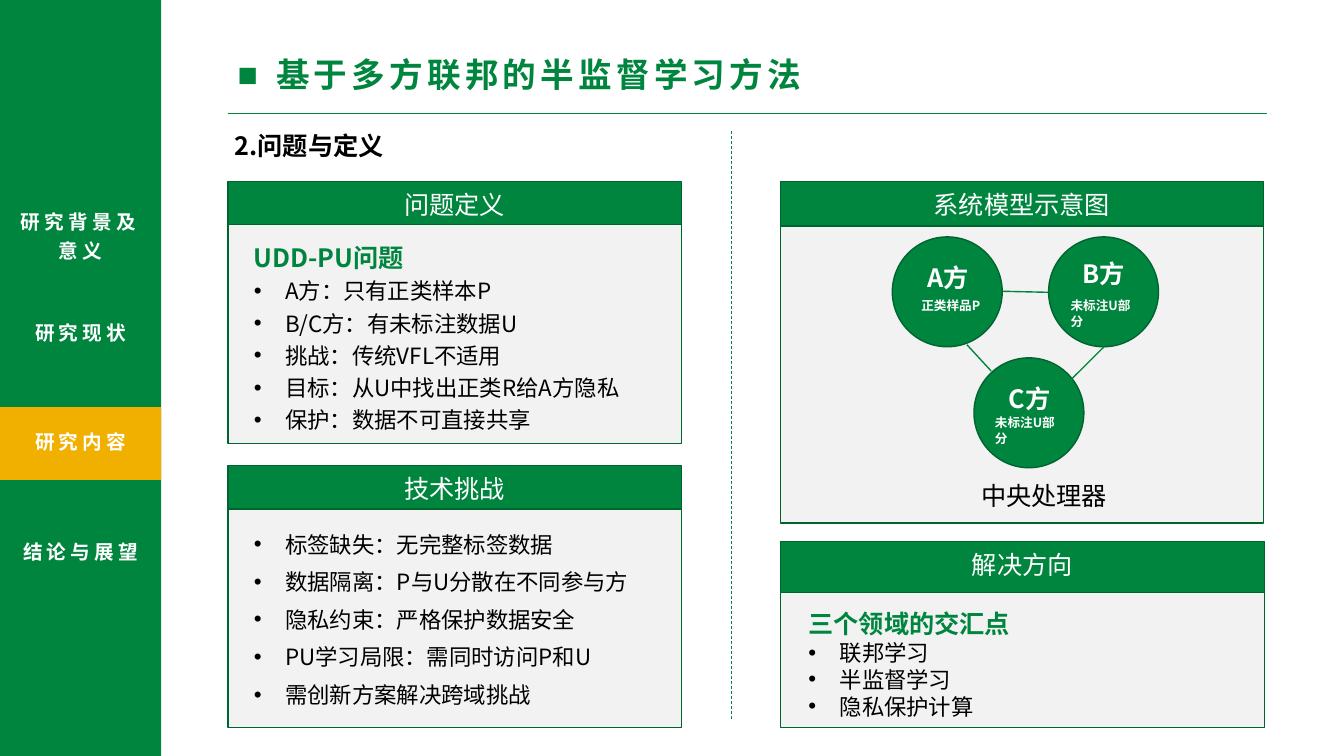
from dataclasses import dataclass

from lxml.etree import SubElement
from pptx import Presentation
from pptx.dml.color import RGBColor
from pptx.enum.dml import MSO_LINE
from pptx.enum.shapes import MSO_CONNECTOR, MSO_SHAPE
from pptx.enum.text import MSO_ANCHOR, MSO_AUTO_SIZE, PP_ALIGN
from pptx.oxml.ns import qn
from pptx.util import Inches, Pt


@dataclass(frozen=True)
class Theme:
    font: str = "Noto Sans CJK SC"
    green: str = "00853E"
    border: str = "00642F"
    gold: str = "F1B000"
    panel: str = "F2F2F2"
    white: str = "FFFFFF"
    black: str = "000000"
    title: int = 24
    heading: int = 18
    body: int = 16
    menu: int = 14
    note: int = 9
    spacing: int = 300


class SlideBuilder:
    cell = Inches(0.1)

    def __init__(self, slide, theme):
        self.slide = slide
        self.theme = theme

    def place(self, *cells):
        return [round(count * self.cell) for count in cells]

    def shape(self, kind, box, fill, border=None):
        shape = self.slide.shapes.add_shape(kind, *self.place(*box))
        shape.shadow.inherit = False
        shape.fill.solid()
        shape.fill.fore_color.rgb = RGBColor.from_string(fill)
        if border:
            shape.line.color.rgb = RGBColor.from_string(border)
            shape.line.width = Pt(1)
        else:
            shape.line.fill.background()
        return shape

    def line(self, start, end, width=0.5, dashed=False):
        connector = self.slide.shapes.add_connector(
            MSO_CONNECTOR.STRAIGHT, *self.place(*start, *end))
        connector.line.color.rgb = RGBColor.from_string(self.theme.green)
        connector.line.width = Pt(width)
        if dashed:
            connector.line.dash_style = MSO_LINE.DASH
        SubElement(connector._element.spPr, qn("a:effectLst"))

    def text_box(self, box):
        frame = self.slide.shapes.add_textbox(*self.place(*box)).text_frame
        frame.word_wrap = True
        frame.auto_size = MSO_AUTO_SIZE.SHAPE_TO_FIT_TEXT
        return frame

    def format(self, paragraph, size, color, bold=False, align=PP_ALIGN.LEFT,
               line_spacing=None, spacing=None):
        paragraph.alignment = align
        if line_spacing:
            paragraph.line_spacing = line_spacing
        for run in paragraph.runs:
            run.font.size = Pt(size)
            run.font.bold = bold
            run.font.name = self.theme.font
            run.font.color.rgb = RGBColor.from_string(color)
            properties = run.font._element
            SubElement(properties, qn("a:ea"), typeface=self.theme.font)
            if spacing:
                properties.set("spc", str(spacing))

    def bullet(self, paragraph, symbol, indent):
        properties = paragraph._p.get_or_add_pPr()
        properties.set("marL", str(Inches(indent)))
        properties.set("indent", str(-Inches(indent)))
        SubElement(properties, qn("a:buFont"), typeface="Arial")
        SubElement(properties, qn("a:buChar"), char=symbol)

    def label(self, text, box, size, color, **style):
        paragraph = self.text_box(box).paragraphs[0]
        paragraph.text = text
        self.format(paragraph, size, color, **style)
        return paragraph

    def panel(self, title, box, header, overlap=0):
        left, top, width, height = box
        body_top = header - overlap
        body = self.shape(MSO_SHAPE.ROUNDED_RECTANGLE,
                          (left, top + body_top, width, height - body_top),
                          self.theme.panel, self.theme.border)
        body.adjustments[0] = 0
        bar = self.shape(MSO_SHAPE.RECTANGLE, (left, top, width, header),
                         self.theme.green, self.theme.border)
        frame = bar.text_frame
        frame.vertical_anchor = MSO_ANCHOR.TOP
        frame.margin_top, frame.margin_bottom = Inches(0.08), 0
        frame.text = title
        self.format(frame.paragraphs[0], self.theme.heading, self.theme.white,
                    align=PP_ALIGN.CENTER)

    def bullet_list(self, box, items, heading=None, line_spacing=None):
        frame = self.text_box(box)
        frame.text = "\n".join([heading] + items if heading else items)
        paragraphs = list(frame.paragraphs)
        if heading:
            self.format(paragraphs.pop(0), self.theme.heading, self.theme.green,
                        bold=True, line_spacing=line_spacing)
        for paragraph in paragraphs:
            self.bullet(paragraph, "•", 0.31)
            self.format(paragraph, self.theme.body, self.theme.black,
                        line_spacing=line_spacing)

    def party(self, name, note, left, top, name_row, note_box):
        self.shape(MSO_SHAPE.OVAL, (left, top, 10.9, 10.9),
                   self.theme.green, self.theme.border)
        self.label(name, (left + 1.2, top + name_row, 8.6, 4), self.theme.heading,
                   self.theme.white, bold=True, align=PP_ALIGN.CENTER)
        column, row, width = note_box
        self.label(note, (left + column, top + row, width, 2.5), self.theme.note,
                   self.theme.white, bold=True)

    def sidebar(self, entries):
        self.shape(MSO_SHAPE.RECTANGLE, (0, 0, 16, 75), self.theme.green)
        self.shape(MSO_SHAPE.RECTANGLE, (0, 40.4, 16, 7.2), self.theme.gold)
        for text, top, height in entries:
            self.label(text, (0, top, 16, height), self.theme.menu, self.theme.white,
                       bold=True, align=PP_ALIGN.CENTER, line_spacing=1.2,
                       spacing=self.theme.spacing)


def main():
    presentation = Presentation()
    presentation.slide_width = Inches(13.33)
    presentation.slide_height = Inches(7.5)
    slide = presentation.slides.add_slide(presentation.slide_layouts[6])
    theme = Theme()
    builder = SlideBuilder(slide, theme)

    builder.line((22.6, 11.2), (125.7, 11.2))
    title = builder.label("基于多方联邦的半监督学习方法", (22.6, 4.9, 85.7, 5),
                          theme.title, theme.green, bold=True, spacing=theme.spacing)
    builder.bullet(title, "■", 0.38)
    builder.label("2.问题与定义", (22.3, 12.4, 19.3, 4), theme.heading, theme.black,
                  bold=True)
    builder.sidebar([("研究背景及意义", 19.9, 6.6), ("研究现状", 30.9, 3.8),
                     ("研究内容", 41.7, 3.8), ("结论与展望", 52.6, 3.8)])
    builder.line((72.5, 13), (72.5, 71.4), dashed=True)

    builder.panel("问题定义", (22.6, 18, 45, 26), 4.3)
    builder.bullet_list((24.2, 22.9, 43.4, 20.8), [
        "A方：只有正类样本P", "B/C方：有未标注数据U", "挑战：传统VFL不适用",
        "目标：从U中找出正类R给A方隐私", "保护：数据不可直接共享",
    ], heading="UDD-PU问题", line_spacing=1.2)

    builder.panel("技术挑战", (22.6, 46.2, 45, 26), 4.3)
    builder.bullet_list((24.2, 51.1, 43.4, 19.8), [
        "标签缺失：无完整标签数据", "数据隔离：P与U分散在不同参与方",
        "隐私约束：严格保护数据安全", "PU学习局限：需同时访问P和U",
        "需创新方案解决跨域挑战",
    ], line_spacing=1.4)

    builder.panel("系统模型示意图", (77.4, 18, 47.9, 33.9), 4.4)
    builder.party("A方", "正类样品P", 88.5, 23.5, 2, (1.9, 5.6, 8))
    builder.party("B方", "未标注U部分", 104, 23.5, 1.6, (1.2, 5.6, 9.1))
    builder.party("C方", "未标注U部分", 96.6, 35.5, 2, (1.1, 5.2, 9.1))
    builder.label("中央处理器", (94.1, 47.2, 18.9, 4), theme.heading, theme.black,
                  align=PP_ALIGN.CENTER)
    for start, end in [((99.5, 28.9), (104, 29)), ((95.9, 34.2), (98.3, 36.8)),
                       ((109.5, 34.4), (106.2, 37.7))]:
        builder.line(start, end, width=1)

    builder.panel("解决方向", (77.4, 53.7, 48, 18.5), 5.1, overlap=2)
    builder.bullet_list((79.2, 59.9, 46.1, 12.1),
                        ["联邦学习", "半监督学习", "隐私保护计算"],
                        heading="三个领域的交汇点")

    presentation.save("out.pptx")


if __name__ == "__main__":
    main()
